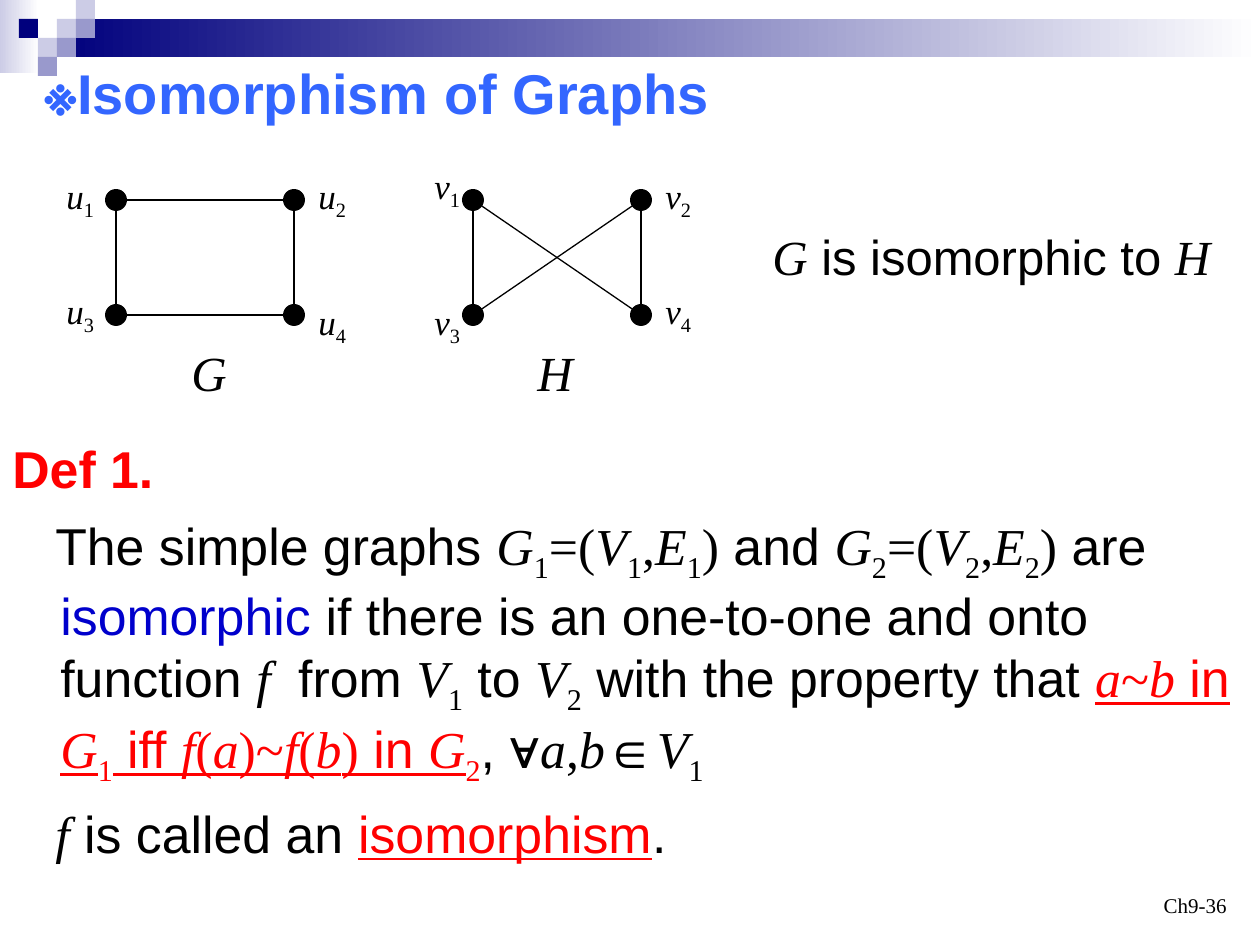
from lxml import etree
from pptx import Presentation
from pptx.dml.color import RGBColor
from pptx.enum.shapes import MSO_CONNECTOR, MSO_SHAPE
from pptx.enum.text import MSO_ANCHOR, MSO_AUTO_SIZE, PP_ALIGN
from pptx.oxml.ns import qn
from pptx.util import Pt

STRAIGHT = MSO_CONNECTOR.STRAIGHT
RECTANGLE, OVAL = MSO_SHAPE.RECTANGLE, MSO_SHAPE.OVAL
TOP, BOTTOM = MSO_ANCHOR.TOP, MSO_ANCHOR.BOTTOM
LEFT, RIGHT = PP_ALIGN.LEFT, PP_ALIGN.RIGHT
FIXED = MSO_AUTO_SIZE.NONE

COLORS = {
    "black": "000000", "white": "FFFFFF", "red": "FF0000", "blue": "0000CC",
    "title": "3366FF", "navy": "00007D", "violet": "9999CC", "lilac": "CCCCE6",
}
SANS, SERIF = "Arial", "Times New Roman"


def px(length):
    return round(length * 914400 / 126)


def rgb(name):
    return RGBColor.from_string(COLORS[name])


def add_runs(paragraph, runs, size):
    """Add (text, flags) runs; flags: t serif, i serif italic, s serif subscript,
    r red, b blue, u underlined, h bold red heading."""
    for text, flags in runs:
        run = paragraph.add_run()
        run.text = text
        font = run.font
        font.size = Pt(size)
        font.name = SERIF if set(flags) & set("tis") else SANS
        font.italic = "i" in flags
        font.bold = "h" in flags
        font.underline = "u" in flags
        color = "red" if set(flags) & set("rh") else "blue" if "b" in flags else "black"
        font.color.rgb = rgb(color)
        if "s" in flags:
            run._r.get_or_add_rPr().set("baseline", "-25000")


def add_frame(slide, box):
    frame = slide.shapes.add_textbox(*map(px, box)).text_frame
    frame.word_wrap = True
    frame.auto_size = FIXED
    return frame


def add_label(slide, box, runs, size):
    add_runs(add_frame(slide, box).paragraphs[0], runs, size)


def add_block(slide, kind, box, color, fade_to=None):
    block = slide.shapes.add_shape(kind, *map(px, box))
    block.shadow.inherit = False
    block.line.fill.background()
    if fade_to:
        block.fill.gradient()
        block.fill.gradient_angle = 0
        for stop, name, position in zip(block.fill.gradient_stops, (color, fade_to), (0, 1)):
            stop.color.rgb = rgb(name)
            stop.position = position
    else:
        block.fill.solid()
        block.fill.fore_color.rgb = rgb(color)


def add_header(slide, left, top, width, cell):
    add_block(slide, RECTANGLE, (left, top, 39, 73), "lilac", "white")
    bar_left = left + 3 * cell
    add_block(slide, RECTANGLE, (bar_left, top + cell, left + width - bar_left, 2 * cell),
              "navy", "white")
    squares = [(3, 1, "lilac"), (4, 0, "lilac"), (4, 1, "violet"), (2, 2, "lilac"),
               (1, 1, "navy"), (3, 2, "violet"), (2, 3, "violet")]
    for column, row, color in squares:
        add_block(slide, RECTANGLE,
                  (left + column * cell, top + row * cell, cell, cell), color)


def add_title(slide, box, text):
    title = slide.shapes.title
    title.left, title.top, title.width, title.height = map(px, box)
    frame = title.text_frame
    frame.word_wrap = True
    frame.auto_size = FIXED
    frame.vertical_anchor = TOP
    paragraph = frame.paragraphs[0]
    paragraph.alignment = LEFT
    run = paragraph.add_run()
    run.text = text
    run.font.size = Pt(32)
    run.font.name = SANS
    run.font.bold = True
    run.font.color.rgb = rgb("title")


def add_graph(slide, box, letter, edges, label_offsets, name, name_offset):
    """Draw four vertices on the corners of box, numbered row by row."""
    left, top, width, height = box
    vertices = [(left + column * width, top + row * height)
                for row in (0, 1) for column in (0, 1)]
    for start, end in edges:
        ends = (*vertices[start - 1], *vertices[end - 1])
        edge = slide.shapes.add_connector(STRAIGHT, *map(px, ends))
        edge.line.color.rgb = rgb("black")
        edge.line.width = Pt(0.75)
        etree.SubElement(edge._element.spPr, qn("a:effectLst"))
    dot = 22
    for number, ((x, y), (dx, dy)) in enumerate(zip(vertices, label_offsets), 1):
        add_block(slide, OVAL, (x - dot // 2, y - dot // 2, dot, dot), "black")
        add_label(slide, (x + dx, y + dy, 60, 60), [(letter, "i"), (str(number), "s")], 20)
    add_label(slide, (left + name_offset, top + 136, 66, 72), [(name, "i")], 28)


def add_definition(slide, box, paragraphs):
    """Place a heading followed by indented paragraphs."""
    frame = add_frame(slide, box)
    for index, runs in enumerate(paragraphs):
        paragraph = frame.add_paragraph() if index else frame.paragraphs[0]
        if index:
            paragraph.space_before = Pt(8)
            properties = paragraph._p.get_or_add_pPr()
            properties.set("marL", str(px(48)))
            properties.set("indent", str(px(-5)))
        add_runs(paragraph, runs, 29.6)


def add_page_number(slide, box, text):
    frame = add_frame(slide, box)
    frame.vertical_anchor = BOTTOM
    frame.paragraphs[0].alignment = RIGHT
    add_runs(frame.paragraphs[0], [(text, "t")], 12)


def graph_triple(index):
    """Runs for G=(V,E), each letter carrying the index."""
    return [("G", "i"), (index, "s"), ("=(", "t"), ("V", "i"), (index, "s"),
            (",", "t"), ("E", "i"), (index, "s"), (")", "t")]


DEFINITION = [
    [("Def 1.", "h")],
    [("The simple graphs ", ""), *graph_triple("1"), (" and ", ""), *graph_triple("2"),
     (" are ", ""), ("isomorphic", "b"),
     (" if there is an one-to-one and onto function ", ""), ("f ", "i"), (" from ", ""),
     ("V", "i"), ("1", "s"), (" to ", ""), ("V", "i"), ("2", "s"),
     (" with the property that ", ""), ("a", "iru"), ("~", "tru"), ("b", "iru"),
     (" in ", "ru"), ("G", "iru"), ("1", "sr"), (" iff ", "ru"), ("f", "iru"),
     ("(", "tru"), ("a", "iru"), (")~", "tru"), ("f", "iru"), ("(", "tru"),
     ("b", "iru"), (")", "tru"), (" in ", "ru"), ("G", "iru"), ("2", "sr"),
     (", ∀", ""), ("a", "i"), (",", "t"), ("b", "i"), ("∈", ""), ("V", "i"), ("1", "s")],
    [("f", "i"), (" is called an ", ""), ("isomorphism", "ru"), (".", "")],
]


def main():
    deck = Presentation()
    deck.slide_width, deck.slide_height = px(1260), px(945)
    slide = deck.slides.add_slide(deck.slide_layouts[5])

    add_header(slide, 0, 0, 1260, 19)
    add_title(slide, (32, 52, 720, 81), "※Isomorphism of Graphs")
    add_graph(slide, (116, 200, 178, 115), "u", [(1, 2), (1, 3), (3, 4), (2, 4)],
              [(-62, -32), (12, -32), (-62, -32), (12, -21)], "G", 63)
    add_graph(slide, (473, 200, 168, 115), "v", [(1, 4), (2, 3), (1, 3), (2, 4)],
              [(-51, -42), (12, -32), (-51, -21), (12, -32)], "H", 52)
    add_label(slide, (760, 220, 480, 72),
              [("G", "i"), (" is isomorphic to ", ""), ("H", "i")], 28)
    add_definition(slide, (0, 431, 1260, 451), DEFINITION)
    add_page_number(slide, (945, 861, 294, 63), "Ch9-36")
    deck.save("out.pptx")


if __name__ == "__main__":
    main()
